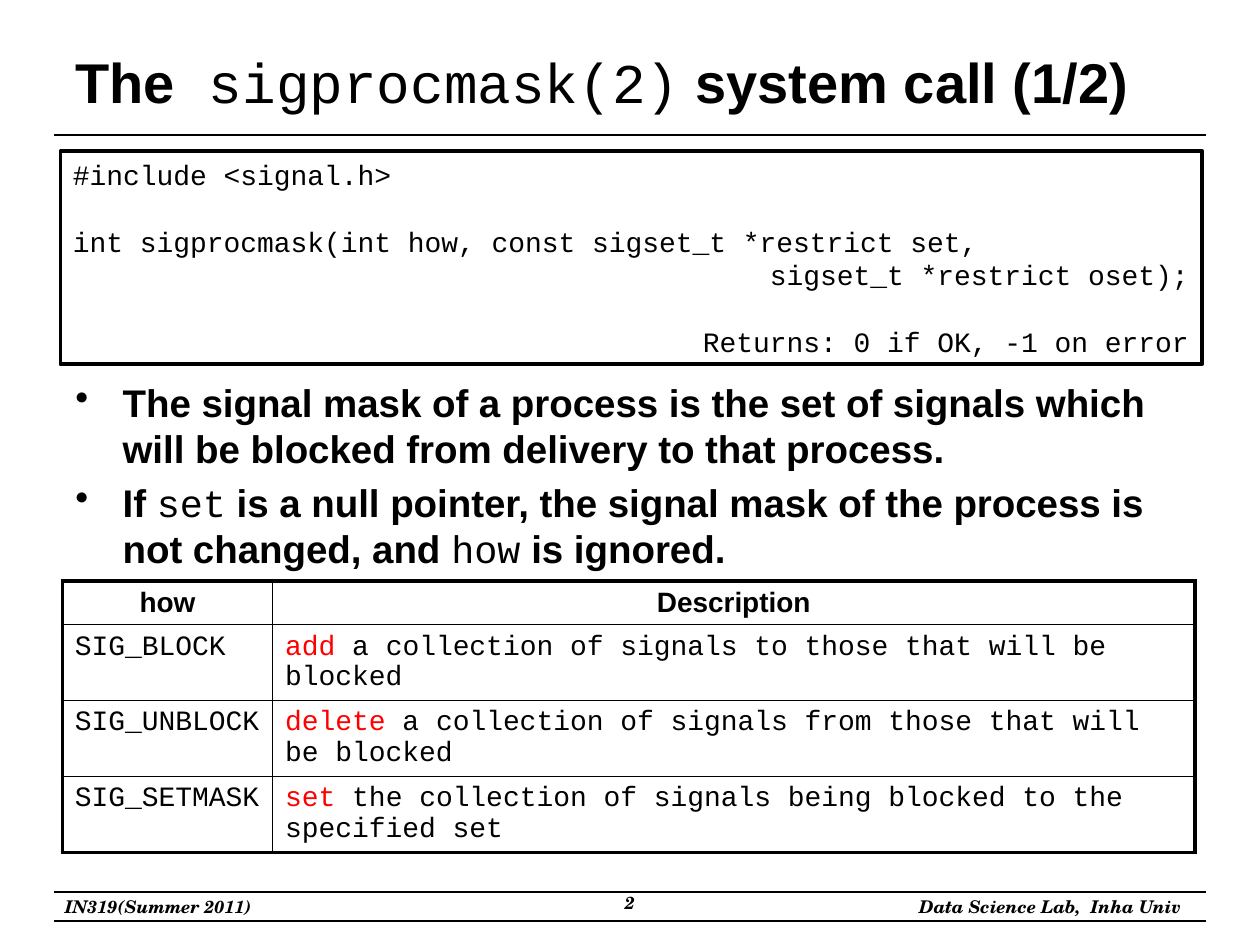
import pptx
import pptx.util
import pptx.dml.color
import pptx.enum.shapes
import pptx.enum.text
import lxml.etree

Pt = pptx.util.Pt
ALIGN = pptx.enum.text.PP_ALIGN
ANCHOR = pptx.enum.text.MSO_ANCHOR
BLACK, WHITE, RED = "000000", "FFFFFF", "FF0000"
SANS, MONO, SERIF = "Arial", "Courier New", "TeX Gyre Schola"


def color(text):
    return pptx.dml.color.RGBColor.from_string(text)


def style(font, name, size, bold=False, italic=False):
    font.name, font.size = name, Pt(size)
    font.bold, font.italic = bold, italic
    font.color.rgb = color(BLACK)


def add_run(para, text, name, size, bold=False, tint=BLACK):
    run = para.add_run()
    run.text = text
    style(run.font, name, size, bold)
    run.font.color.rgb = color(tint)


def add_mixed(para, parts, size):
    """Alternate bold sans text and plain code, starting with sans."""
    for i, text in enumerate(parts):
        add_run(para, text, MONO if i % 2 else SANS, size, i % 2 == 0)


def add_rule(slide, left, top, width):
    line = slide.shapes.add_connector(
        pptx.enum.shapes.MSO_CONNECTOR.STRAIGHT,
        Pt(left), Pt(top), Pt(left + width), Pt(top))
    line.line.color.rgb = color(BLACK)
    line.line.width = Pt(0.75)
    props = line._element.spPr
    lxml.etree.SubElement(props, pptx.oxml.ns.qn("a:effectLst"))


def add_box(slide, left, top, width, height, anchor=ANCHOR.TOP):
    box = slide.shapes.add_textbox(Pt(left), Pt(top), Pt(width), Pt(height))
    frame = box.text_frame
    frame.word_wrap = True
    frame.vertical_anchor = anchor
    return frame


def add_title(slide, left, top, width, height):
    title = slide.shapes.title
    title.left, title.top = Pt(left), Pt(top)
    title.width, title.height = Pt(width), Pt(height)
    frame = title.text_frame
    frame.vertical_anchor = ANCHOR.MIDDLE
    para = frame.paragraphs[0]
    para.alignment = ALIGN.LEFT
    add_mixed(para, ["The", " sigprocmask(2)", " system call (1/2)"], 32)
    add_rule(slide, left - 5, top + height + 5.8, width + 10)


def add_code(slide, left, top, width, height):
    box = slide.shapes.add_shape(pptx.enum.shapes.MSO_SHAPE.RECTANGLE,
                                 Pt(left), Pt(top), Pt(width), Pt(height))
    box.shadow.inherit = False
    box.fill.solid()
    box.fill.fore_color.rgb = color(WHITE)
    box.line.color.rgb = color(BLACK)
    box.line.width = Pt(2.25)
    frame = box.text_frame
    frame.word_wrap = True
    frame.margin_right = 0
    frame.vertical_anchor = ANCHOR.MIDDLE
    lines = [  # text, indent, space before
        ("#include <signal.h>", 0, 0),
        ("int sigprocmask(int how, const sigset_t *restrict set,", 0, 19),
        ("    sigset_t *restrict oset);", 360, 0),
        ("Returns: 0 if OK, -1 on error", 360, 19),
    ]
    for i, (text, indent, gap) in enumerate(lines):
        para = frame.add_paragraph() if i else frame.paragraphs[0]
        para.text = text
        para.alignment = ALIGN.LEFT
        para.space_before = Pt(gap)
        para._p.get_or_add_pPr().set("marL", str(Pt(indent)))
        style(para.font, MONO, 16)


def add_bullets(slide, left, top, width, height):
    frame = add_box(slide, left, top, width, height)
    points = [
        ["The signal mask of a process is the set of signals which will be "
         "blocked from delivery to that process."],
        ["If ", "set", " is a null pointer, the signal mask of the process "
         "is not changed, and ", "how", " is ignored."],
    ]
    for i, parts in enumerate(points):
        para = frame.add_paragraph() if i else frame.paragraphs[0]
        para.space_before = Pt(4.4 if i else 0)
        props = para._p.get_or_add_pPr()
        props.set("marL", str(Pt(27)))
        props.set("indent", str(Pt(-27)))
        mark = lxml.etree.SubElement(props, pptx.oxml.ns.qn("a:buChar"))
        mark.set("char", "•")
        add_mixed(para, parts, 22)


def set_edges(cell, widths):
    """Draw the left, right, top and bottom borders, in that order."""
    qn = pptx.oxml.ns.qn
    props = cell._tc.get_or_add_tcPr()
    for i, (side, width) in enumerate(zip("LRTB", widths)):
        edge = lxml.etree.Element(qn("a:ln" + side), w=str(Pt(width)))
        fill = lxml.etree.SubElement(edge, qn("a:solidFill"))
        lxml.etree.SubElement(fill, qn("a:srgbClr"), val=BLACK)
        props.insert(i, edge)


def add_modes(slide, left, top, widths, heights):
    rows = [
        ("SIG_BLOCK", "add",
         " a collection of signals to those that will be blocked"),
        ("SIG_UNBLOCK", "delete",
         " a collection of signals from those that will be blocked"),
        ("SIG_SETMASK", "set",
         " the collection of signals being blocked to the specified set"),
    ]
    table = slide.shapes.add_table(
        len(heights), len(widths), Pt(left), Pt(top),
        Pt(sum(widths)), Pt(sum(heights))).table
    table.first_row = table.horz_banding = False
    for col, width in zip(table.columns, widths):
        col.width = Pt(width)
    for row, height in zip(table.rows, heights):
        row.height = Pt(height)
    for i, text in enumerate(["how", "Description"]):
        para = table.cell(0, i).text_frame.paragraphs[0]
        para.text = text
        para.alignment = ALIGN.CENTER
        style(para.font, SANS, 16, True)
    for i, (mode, verb, rest) in enumerate(rows, 1):
        para = table.cell(i, 0).text_frame.paragraphs[0]
        para.text = mode
        style(para.font, MONO, 16)
        para = table.cell(i, 1).text_frame.paragraphs[0]
        add_run(para, verb, MONO, 16, tint=RED)
        add_run(para, rest, MONO, 16)
    last = len(heights) - 1
    for i in range(len(heights)):
        for j in range(len(widths)):
            cell = table.cell(i, j)
            cell.fill.background()
            cell.margin_top, cell.margin_bottom = Pt(4), Pt(1.6)
            cell.text_frame.paragraphs[0].line_spacing = 0.97
            outer = (j == 0, j == 1, i == 0, i == last)
            set_edges(cell, [2.25 if edge else 1 for edge in outer])


def add_footer(slide, left, top, width, height):
    for y in (top, top + height):
        add_rule(slide, left, y, width)
    third = width / 3
    labels = [  # text, alignment, offset, drop, anchor
        ("IN319(Summer 2011)", ALIGN.LEFT, -1, 0, ANCHOR.MIDDLE),
        ("2", ALIGN.CENTER, third, -3.6, ANCHOR.TOP),
        ("Data Science Lab,  Inha Univ", ALIGN.RIGHT, 2 * third - 7, 0,
         ANCHOR.MIDDLE),
    ]
    for text, align, shift, drop, anchor in labels:
        frame = add_box(slide, left + shift, top + drop, third, height, anchor)
        para = frame.paragraphs[0]
        para.text = text
        para.alignment = align
        style(para.font, SERIF, 10, True, True)


def main():
    deck = pptx.Presentation()
    deck.slide_width, deck.slide_height = Pt(720), Pt(540)
    slide = deck.slides.add_slide(deck.slide_layouts[5])
    add_title(slide, 36, 21.6, 648, 49.7)
    add_code(slide, 34.6, 86.4, 652.3, 121.7)
    add_bullets(slide, 36, 213, 648, 117)
    add_modes(slide, 35.6, 332, [120.2, 527], [25] + [43.4] * 3)
    add_footer(slide, 31, 509.8, 658, 16.5)
    deck.save("out.pptx")


if __name__ == "__main__":
    main()
